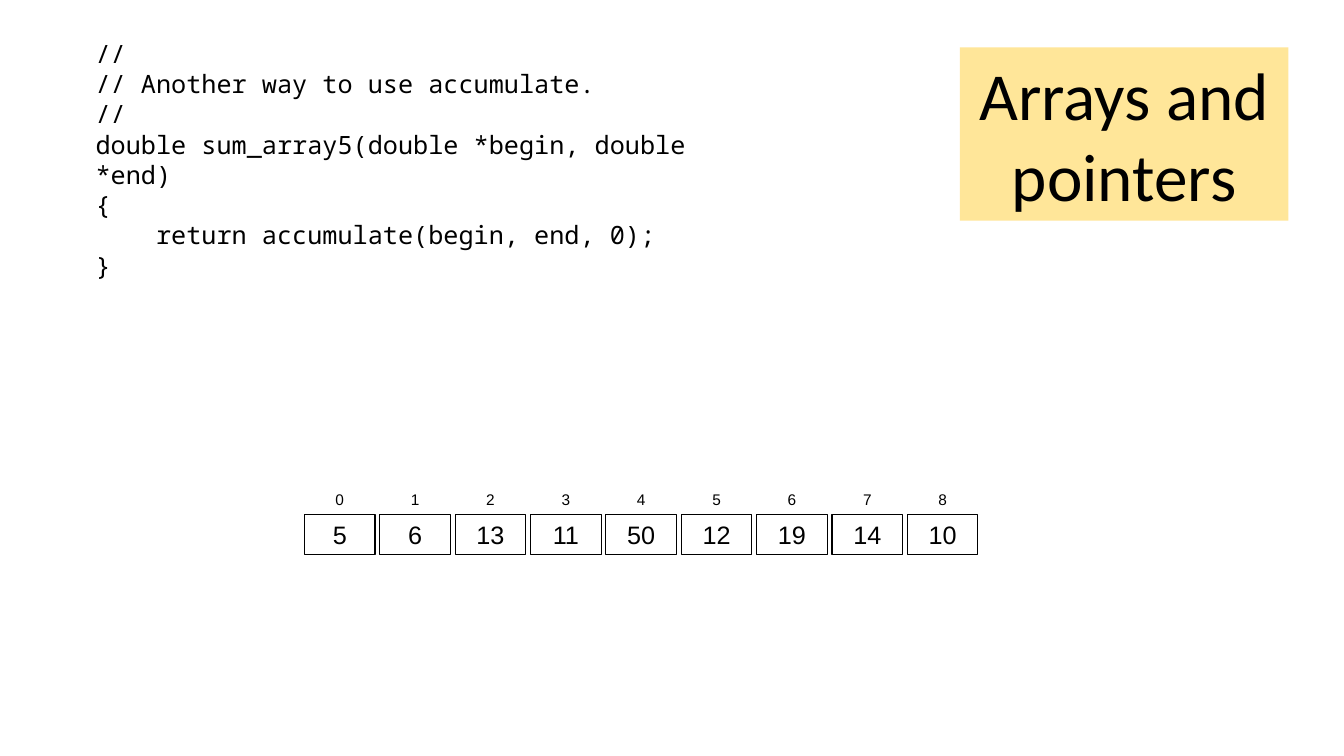
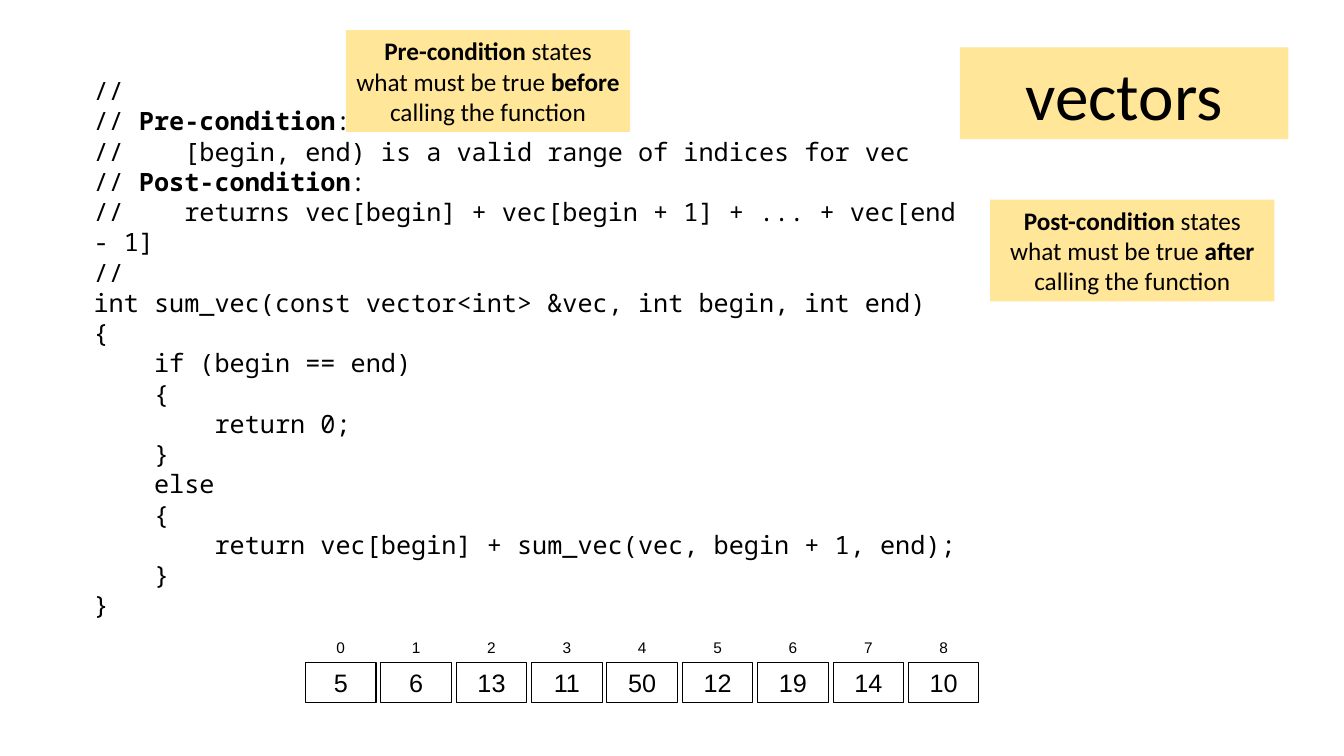
from pptx import Presentation
from pptx.dml.color import RGBColor
from pptx.enum.shapes import MSO_SHAPE
from pptx.enum.text import MSO_ANCHOR, MSO_AUTO_SIZE, PP_ALIGN
from pptx.util import Inches, Pt

RECT = MSO_SHAPE.RECTANGLE
MIDDLE = MSO_ANCHOR.MIDDLE
GROW = MSO_AUTO_SIZE.SHAPE_TO_FIT_TEXT
LEFT, CENTER = PP_ALIGN.LEFT, PP_ALIGN.CENTER

BLACK = "000000"
YELLOW = "FFE699"
VALUES = [5, 6, 13, 11, 50, 12, 19, 14, 10]
PITCH = 5.98 / (len(VALUES) - 1)

ACCUMULATE_CODE = """//
// Another way to use accumulate.
//
double sum_array5(double *begin, double *end)
{
    return accumulate(begin, end, 0);
}"""

VECTOR_CODE = """//
// **Pre-condition**:
//    [begin, end) is a valid range of indices for vec
// **Post-condition**:
//    returns vec[begin] + vec[begin + 1] + ... + vec[end - 1]
//
int sum_vec(const vector<int> &vec, int begin, int end)
{
    if (begin == end)
    {
        return 0;
    }
    else
    {
        return vec[begin] + sum_vec(vec, begin + 1, end);
    }
}"""

SLIDES = [
    {
        "title": "Arrays and pointers", "title_height": 1.72,
        "code": ACCUMULATE_CODE, "code_box": (0.85, 0.33, 6.43, 2.22),
        "array_at": (3.02, 5.1), "notes": [],
    },
    {
        "title": "vectors", "title_height": 0.91,
        "code": VECTOR_CODE, "code_box": (0.83, 0.7, 8.79, 5.25),
        "array_at": (3.03, 6.57),
        "notes": [
            (3.43, 0.3, "**Pre-condition** states what must be true **before** calling the function"),
            (9.82, 1.98, "**Post-condition** states what must be true **after** calling the function"),
        ],
    },
]


def color(value):
    return RGBColor.from_string(value)


def add_text(shapes, box, text, font, size, align=CENTER, fill=None, line=None):
    at = [Inches(v) for v in box]
    if fill or line:
        sp = shapes.add_shape(RECT, *at)
        sp.shadow.inherit = False
        if fill:
            sp.fill.solid()
            sp.fill.fore_color.rgb = color(fill)
        else:
            sp.fill.background()
        if line:
            sp.line.color.rgb = color(line)
            sp.line.width = Pt(0.75)
        else:
            sp.line.fill.background()
        sp.text_frame.vertical_anchor = MIDDLE
    else:
        sp = shapes.add_textbox(*at)
    tf = sp.text_frame
    tf.word_wrap = True
    tf.auto_size = GROW
    for i, row in enumerate(text.split("\n")):
        p = tf.add_paragraph() if i else tf.paragraphs[0]
        p.alignment = align
        p.font.name = font
        p.font.size = Pt(size)
        p.font.color.rgb = color(BLACK)
        for j, part in enumerate(row.split("**")):
            if part:
                r = p.add_run()
                r.text = part
                if j % 2:
                    r.font.bold = True


prs = Presentation()
prs.slide_width = Inches(13.33)
prs.slide_height = Inches(7.5)

for content in SLIDES:
    s = prs.slides.add_slide(prs.slide_layouts[6])
    add_text(s.shapes, (9.52, 0.47, 3.26, content["title_height"]),
             content["title"], "Calibri", 48, fill=YELLOW)
    add_text(s.shapes, content["code_box"], content["code"],
             "Noto Sans Mono", 18, align=LEFT)

    left, top = content["array_at"]
    array = s.shapes.add_group_shape()
    for index, value in enumerate(VALUES):
        x = left + index * PITCH
        add_text(array.shapes, (x, top, 0.7, 0.4), str(value), "Arial", 18, line=BLACK)
        add_text(array.shapes, (x + 0.04, top - 0.29, 0.62, 0.29), str(index), "Arial", 11)

    for x, y, note in content["notes"]:
        add_text(s.shapes, (x, y, 2.82, 1.01), note, "Calibri", 18, fill=YELLOW)

prs.save("out.pptx")
